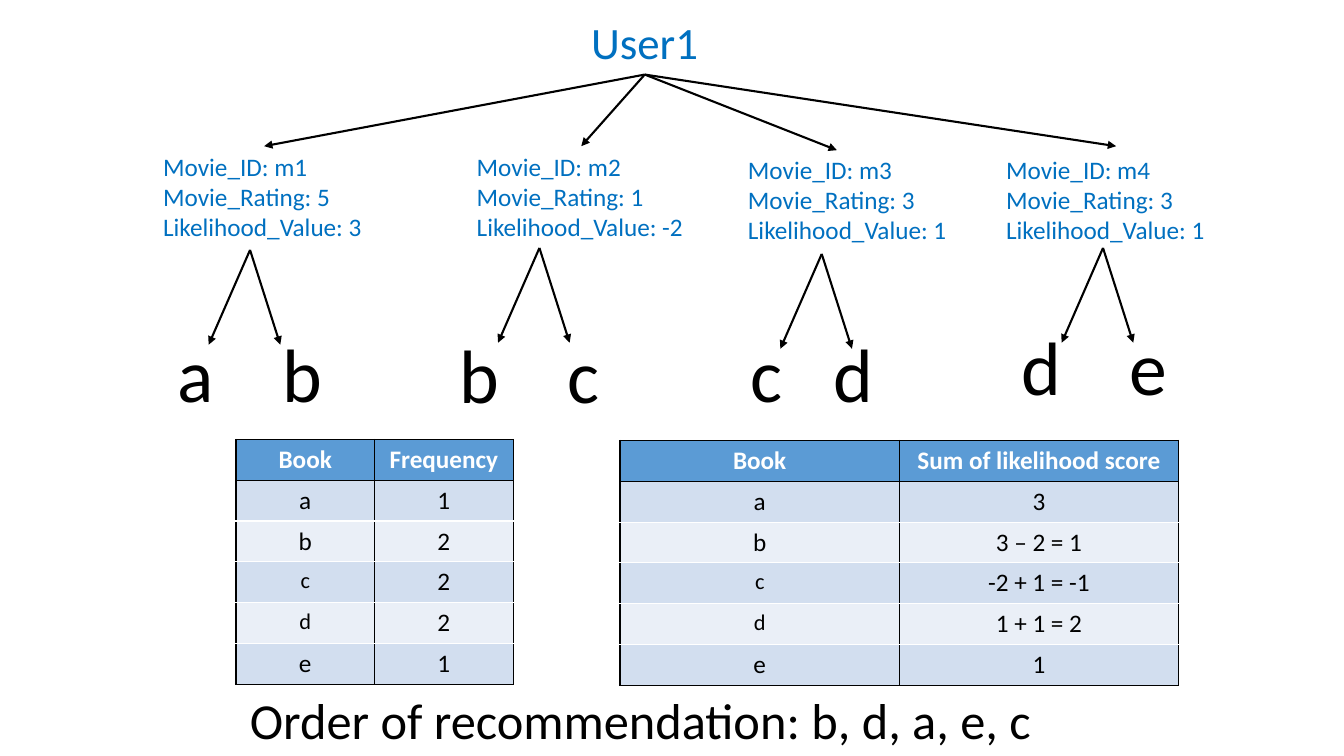
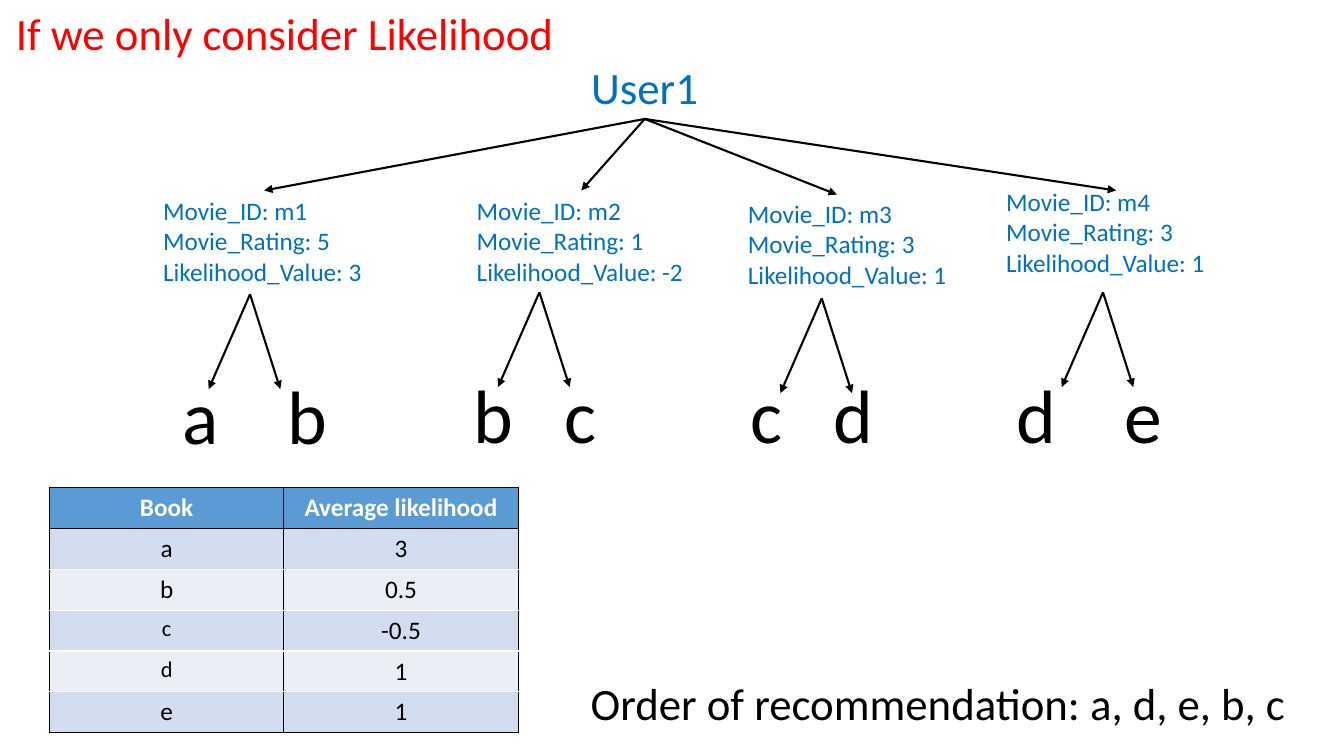
import pptx
import pptx.util
import pptx.dml.color
import pptx.enum.text
import pptx.enum.shapes
import pptx.oxml.ns
from collections import namedtuple
from lxml import etree

Inches = pptx.util.Inches
Pt = pptx.util.Pt
RGBColor = pptx.dml.color.RGBColor
Align = pptx.enum.text.PP_ALIGN
qn = pptx.oxml.ns.qn

FONT = "Calibri"
BLACK = RGBColor(0x00, 0x00, 0x00)
WHITE = RGBColor(0xFF, 0xFF, 0xFF)
BLUE = RGBColor(0x00, 0x70, 0xC0)
RED = RGBColor(0xFF, 0x00, 0x00)
HEADER_FILL = RGBColor(0x5B, 0x9B, 0xD5)
BAND_FILLS = (RGBColor(0xD2, 0xDE, 0xEF), RGBColor(0xEA, 0xEF, 0xF7))

TITLE_ONLY, BLANK = 5, 6
TREE_LEFT = 1.52
FORK_ENDS = ((-0.41, 0.94), (0.3, 0.94))
SMALL_BOOKS = ("c", "d")

Movie = namedtuple("Movie", "name rating likelihood left top width arrow_end fork")
Books = namedtuple("Books", "first second left top width tab")

MOVIES = (
    Movie("m1", 5, 3, 0, 1.35, 2.2, None, (0.96, 2.38)),
    Movie("m2", 1, -2, 3.11, 1.35, 2.27, None, (3.83, 2.36)),
    Movie("m3", 3, 1, 5.8, 1.38, 2.53, (6.78, 1.39), (6.63, 2.42)),
    Movie("m4", 3, 1, 8.36, 1.38, 2.32, (9.55, 1.35), (9.42, 2.36)),
)


def write(frame, lines, size, color, align=Align.LEFT, bold=False):
    """Fill a text frame with one formatted paragraph per line."""
    for index, line in enumerate(lines):
        para = frame.paragraphs[0] if index == 0 else frame.add_paragraph()
        para.alignment = align
        span = para.add_run()
        span.text = line
        span.font.name = FONT
        span.font.size = Pt(size)
        span.font.bold = bold
        span.font.color.rgb = color


def add_text(page, box, lines, size, color, align=Align.LEFT):
    """Add a wrapping text box at left, top, width, height."""
    shape = page.shapes.add_textbox(*map(Inches, box))
    shape.text_frame.word_wrap = True
    write(shape.text_frame, lines, size, color, align)
    return shape


def add_title(page, box, text):
    """Place and format the title placeholder."""
    title = page.shapes.title
    title.left, title.top, title.width, title.height = map(Inches, box)
    frame = title.text_frame
    frame.word_wrap = True
    frame.auto_size = pptx.enum.text.MSO_AUTO_SIZE.NONE
    frame.vertical_anchor = pptx.enum.text.MSO_ANCHOR.TOP
    write(frame, [text], 32, RED, Align.CENTER)


def add_arrow(page, start, end):
    """Add a black straight arrow between two points."""
    arrow = page.shapes.add_connector(
        pptx.enum.shapes.MSO_CONNECTOR.STRAIGHT, *map(Inches, start + end))
    arrow.line.color.rgb = BLACK
    arrow.line.width = Pt(1.5)
    etree.SubElement(arrow.line._get_or_add_ln(), qn("a:tailEnd"), type="triangle")
    etree.SubElement(arrow._element.spPr, qn("a:effectLst"))
    return arrow


def add_books(page, left, top, books):
    """Add a pair of book letters set apart by a tab stop."""
    shape = add_text(page, (left + books.left, top + books.top, books.width, 1.01),
                     [f"{books.first}\t{books.second}"], 54, BLACK)
    properties = shape.text_frame.paragraphs[0]._p.get_or_add_pPr()
    stops = etree.SubElement(properties, qn("a:tabLst"))
    etree.SubElement(stops, qn("a:tab"), pos=str(Inches(books.tab)), algn="l")


def add_tree(page, left, top, movies, pairs):
    """Draw the user, the movies and the book pairs as a tree."""
    root_left, root_width, root_height = left + 4.19, 1.37, 0.64
    root = add_text(page, (root_left, top, root_width, root_height),
                    ["User1"], 32, BLUE, Align.CENTER)
    root_foot = (root_left + root_width / 2, top + root_height)
    for movie, books in zip(movies, pairs):
        lines = [f"Movie_ID: {movie.name}", f"Movie_Rating: {movie.rating}",
                 f"Likelihood_Value: {movie.likelihood}"]
        label = add_text(page, (left + movie.left, top + movie.top, movie.width, 1.01),
                         lines, 18, BLUE)
        end_x, end_y = movie.arrow_end or (movie.left + movie.width / 2, movie.top)
        arrow = add_arrow(page, root_foot, (left + end_x, top + end_y))
        arrow.begin_connect(root, 2)
        if movie.arrow_end is None:
            arrow.end_connect(label, 0)
        fork_x, fork_y = left + movie.fork[0], top + movie.fork[1]
        for step_x, step_y in FORK_ENDS:
            add_arrow(page, (fork_x, fork_y), (fork_x + step_x, fork_y + step_y))
        add_books(page, left, top, books)


def set_borders(cell, top, bottom):
    """Draw black side borders and the given top and bottom colours."""
    properties = cell._tc.get_or_add_tcPr()
    for side, color in (("L", BLACK), ("R", BLACK), ("T", top), ("B", bottom)):
        line = etree.SubElement(properties, qn(f"a:ln{side}"), w=str(Pt(1)))
        fill = etree.SubElement(line, qn("a:solidFill"))
        etree.SubElement(fill, qn("a:srgbClr"), val=str(color))


def add_score_table(page, box, rows):
    """Add a two-column table of books and scores, header row first."""
    table = page.shapes.add_table(len(rows), len(rows[0]), *map(Inches, box)).table
    table.horz_banding = False
    last = len(rows) - 1
    for row_index, values in enumerate(rows):
        header = row_index == 0
        for column_index, value in enumerate(values):
            cell = table.cell(row_index, column_index)
            set_borders(cell, BLACK if row_index <= 1 else WHITE,
                        BLACK if row_index in (0, last) else WHITE)
            cell.fill.solid()
            cell.fill.fore_color.rgb = HEADER_FILL if header else BAND_FILLS[(row_index - 1) % 2]
            write(cell.text_frame, [value], 16 if value in SMALL_BOOKS else 18,
                  WHITE if header else BLACK, Align.CENTER, header)


def score_rows(heading, scores):
    """Pair each book with its score under the headings."""
    return [("Book", heading), *zip("abcde", scores)]


def add_sum_slide(deck):
    """Build the slide with frequencies and summed likelihood."""
    page = deck.slides.add_slide(deck.slide_layouts[BLANK])
    pairs = (Books("a", "b", 0.14, 3.09, 1.82, 1.04),
             Books("b", "c", 2.94, 3.1, 1.78, 1.07),
             Books("c", "d", 5.82, 3.09, 1.61, 0.83),
             Books("d", "e", 8.51, 3.02, 1.66, 1.07))
    add_tree(page, TREE_LEFT, 0.1, MOVIES, pairs)
    add_score_table(page, (2.34, 4.36, 2.75, 2.43), score_rows("Frequency", "12221"))
    add_score_table(page, (6.15, 4.37, 5.54, 2.43), score_rows(
        "Sum of likelihood score", ("3", "3 – 2 = 1", "-2 + 1 = -1", "1 + 1 = 2", "1")))
    add_text(page, (2.38, 6.79, 8.02, 0.71),
             ["Order of recommendation: b, d, a, e, c"], 36, BLACK)


def add_average_slide(deck):
    """Build the slide with average likelihood only."""
    page = deck.slides.add_slide(deck.slide_layouts[TITLE_ONLY])
    add_title(page, (0.03, 0.01, 5.59, 0.64), "If we only consider Likelihood")
    pairs = (Books("a", "b", 0.19, 3.07, 1.82, 1.04),
             Books("b", "c", 3.08, 3.06, 1.61, 0.9),
             Books("c", "d", 5.82, 3.06, 1.61, 0.83),
             Books("d", "e", 8.46, 3.06, 1.66, 1.07))
    movies = MOVIES[:3] + (MOVIES[3]._replace(top=1.26),)
    add_tree(page, TREE_LEFT, 0.54, movies, pairs)
    add_score_table(page, (0.49, 4.84, 4.65, 2.43), score_rows(
        "Average likelihood", ("3", "0.5", "-0.5", "1", "1")))
    add_text(page, (5.76, 6.65, 7.17, 0.64),
             ["Order of recommendation: a, d, e, b, c"], 32, BLACK)


def main():
    """Build and save the deck."""
    deck = pptx.Presentation()
    deck.slide_width, deck.slide_height = Inches(13.33), Inches(7.5)
    add_sum_slide(deck)
    add_average_slide(deck)
    deck.save("out.pptx")


if __name__ == "__main__":
    main()
